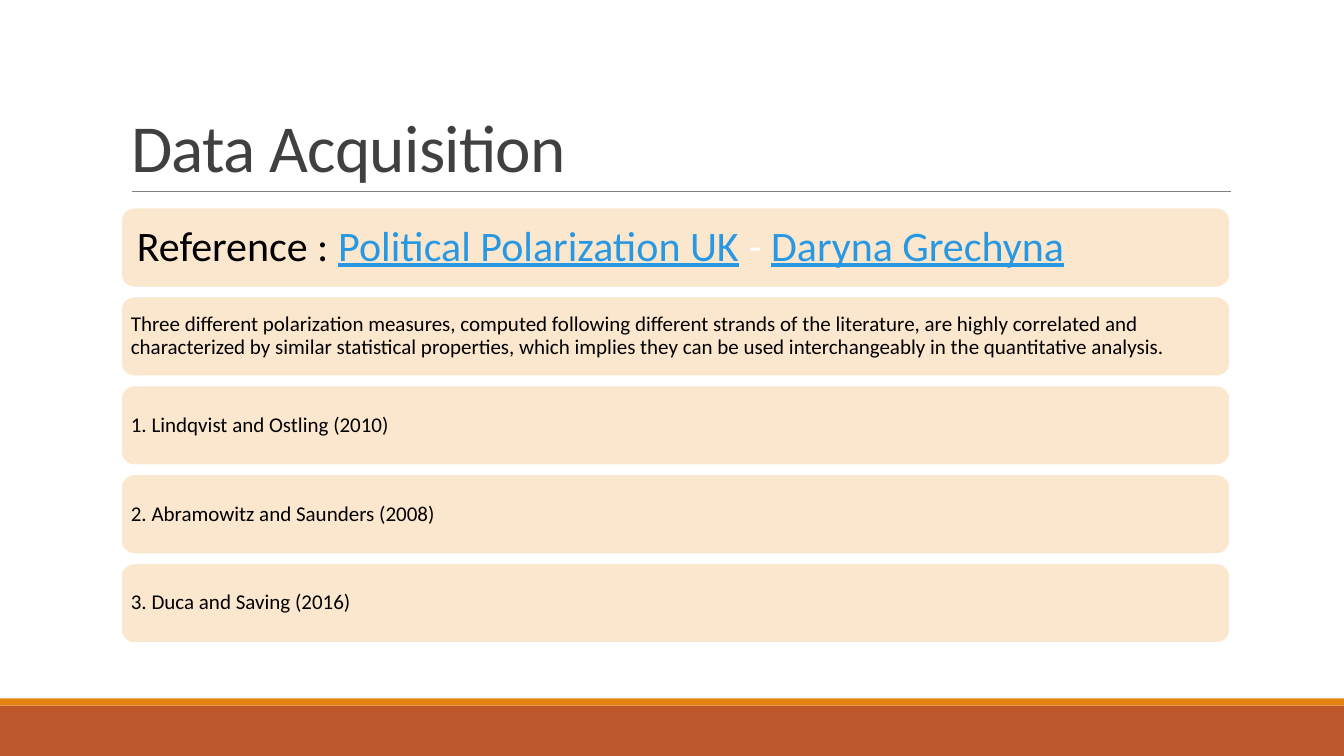
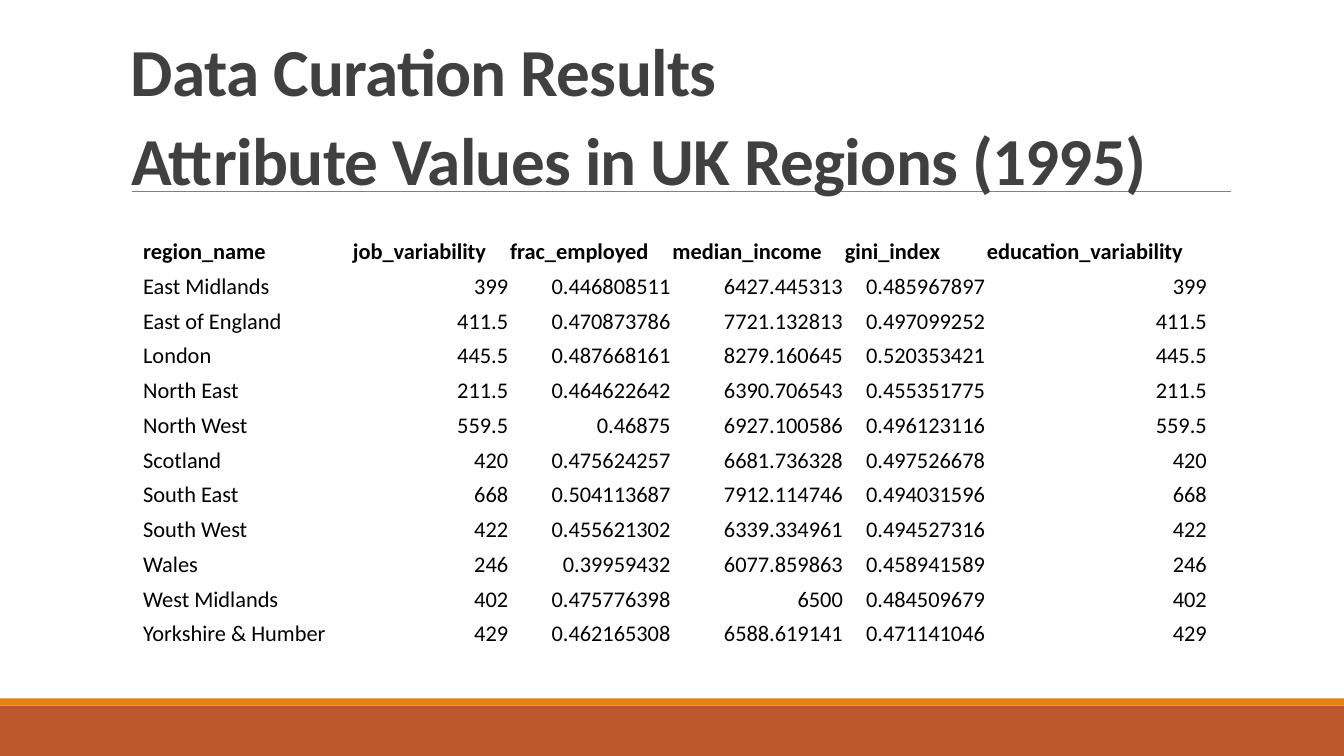
from dataclasses import dataclass

from lxml import etree
from pptx import Presentation
from pptx.dml.color import RGBColor
from pptx.enum.shapes import MSO_CONNECTOR, MSO_SHAPE
from pptx.enum.text import MSO_ANCHOR, PP_ALIGN
from pptx.oxml.ns import qn
from pptx.util import Inches, Pt

LEFT, RIGHT = PP_ALIGN.LEFT, PP_ALIGN.RIGHT
MIDDLE, BOTTOM = MSO_ANCHOR.MIDDLE, MSO_ANCHOR.BOTTOM
RECTANGLE, ROUNDED = MSO_SHAPE.RECTANGLE, MSO_SHAPE.ROUNDED_RECTANGLE
STRAIGHT = MSO_CONNECTOR.STRAIGHT
TITLE_ONLY = 5


@dataclass(frozen=True)
class Theme:
    font: str = "Calibri"
    title_color: str = "404040"
    text_color: str = "000000"
    link_color: str = "2998E3"
    white: str = "FFFFFF"
    card_color: str = "FBE6CE"
    footer_color: str = "BD582C"
    stripe_color: str = "E48312"
    rule_color: str = "808080"
    title_size: int = 48
    reference_size: int = 30
    card_size: int = 15
    table_size: int = 16


THEME = Theme()
PAGE_WIDTH, PAGE_HEIGHT = 13.33, 7.5
CONTENT_LEFT, CONTENT_WIDTH = 1.2, 11
BANDS = [(7, 0.5, THEME.footer_color), (6.93, 0.07, THEME.stripe_color)]
RULE_LEFT, RULE_RIGHT, RULE_TOP = 1.31, 12.21, 1.9

ACQUISITION_TITLE = "Data Acquisition"
REFERENCE = [
    ("Reference : ", THEME.text_color, False),
    ("Political Polarization UK", THEME.link_color, True),
    (" - ", THEME.white, False),
    ("Daryna Grechyna", THEME.link_color, True),
]
STATEMENTS = [
    "Three different polarization measures, computed following different strands of the literature, "
    "are highly correlated and characterized by similar statistical properties, which implies they "
    "can be used interchangeably in the quantitative analysis.",
    "1. Lindqvist and Ostling (2010)",
    "2. Abramowitz and Saunders (2008)",
    "3. Duca and Saving (2016)",
]
CARDS_TOP, CARDS_HEIGHT, CARD_GAP = 2.06, 4.32, 0.09

RESULTS_HEADING = "Data Curation Results"
RESULTS_TITLE = "Attribute Values in UK Regions (1995)"
COLUMNS = [
    ("region_name", 2.08),
    ("job_variability", 1.56),
    ("frac_employed", 1.61),
    ("median_income", 1.71),
    ("gini_index", 1.41),
    ("education_variability", 2.2),
]
REGIONS = [
    ("East Midlands", "399", "0.446808511", "6427.445313", "0.485967897", "399"),
    ("East of England", "411.5", "0.470873786", "7721.132813", "0.497099252", "411.5"),
    ("London", "445.5", "0.487668161", "8279.160645", "0.520353421", "445.5"),
    ("North East", "211.5", "0.464622642", "6390.706543", "0.455351775", "211.5"),
    ("North West", "559.5", "0.46875", "6927.100586", "0.496123116", "559.5"),
    ("Scotland", "420", "0.475624257", "6681.736328", "0.497526678", "420"),
    ("South East", "668", "0.504113687", "7912.114746", "0.494031596", "668"),
    ("South West", "422", "0.455621302", "6339.334961", "0.494527316", "422"),
    ("Wales", "246", "0.39959432", "6077.859863", "0.458941589", "246"),
    ("West Midlands", "402", "0.475776398", "6500", "0.484509679", "402"),
    ("Yorkshire & Humber", "429", "0.462165308", "6588.619141", "0.471141046", "429"),
]
TABLE_LEFT, TABLE_TOP, TABLE_HEIGHT = 1.41, 2.29, 4.14


def color(value):
    return RGBColor.from_string(value)


def format_span(span, size, ink=THEME.text_color, bold=False, underline=False):
    span.font.name = THEME.font
    span.font.size = Pt(size)
    span.font.bold = bold
    span.font.underline = underline
    span.font.color.rgb = color(ink)


def set_margins(target, left, top, right, bottom):
    target.margin_left, target.margin_top = Inches(left), Inches(top)
    target.margin_right, target.margin_bottom = Inches(right), Inches(bottom)


def place(box, left, top, width, height):
    box.left, box.top = Inches(left), Inches(top)
    box.width, box.height = Inches(width), Inches(height)


def add_filled_shape(page, kind, left, top, width, height, fill):
    shape = page.shapes.add_shape(kind, Inches(left), Inches(top), Inches(width), Inches(height))
    shape.shadow.inherit = False
    shape.fill.solid()
    shape.fill.fore_color.rgb = color(fill)
    shape.line.fill.background()
    return shape


def move_frame_to_layout(page):
    frame = [
        add_filled_shape(page, RECTANGLE, 0, top, PAGE_WIDTH, height, fill)
        for top, height, fill in BANDS
    ]
    rule = page.shapes.add_connector(
        STRAIGHT, Inches(RULE_LEFT), Inches(RULE_TOP), Inches(RULE_RIGHT), Inches(RULE_TOP)
    )
    rule.line.color.rgb = color(THEME.rule_color)
    rule.line.width = Pt(0.5)
    etree.SubElement(rule.element.spPr, qn("a:effectLst"))
    for shape in [*frame, rule]:
        page.slide_layout.shapes.element.append(shape.element)


def write_title(box, text, top, height, bold=False):
    place(box, CONTENT_LEFT, top, CONTENT_WIDTH, height)
    frame = box.text_frame
    frame.word_wrap = True
    frame.vertical_anchor = BOTTOM
    frame.text = text
    para = frame.paragraphs[0]
    para.alignment = LEFT
    para.line_spacing = 0.85
    for span in para.runs:
        format_span(span, THEME.title_size, THEME.title_color, bold)
        span.font._element.set("spc", "-50")


def add_card(page, top, height, spans, size, margin):
    card = add_filled_shape(page, ROUNDED, CONTENT_LEFT, top, CONTENT_WIDTH, height, THEME.card_color)
    card.line.color.rgb = color(THEME.white)
    card.line.width = Pt(1.25)
    frame = card.text_frame
    frame.word_wrap = True
    frame.vertical_anchor = MIDDLE
    set_margins(frame, margin, margin, margin, margin)
    para = frame.paragraphs[0]
    para.alignment = LEFT
    para.line_spacing = 0.9
    for text, ink, underline in spans:
        span = para.add_run()
        span.text = text
        format_span(span, size, ink, underline=underline)


def build_acquisition(page):
    write_title(page.shapes.title, ACQUISITION_TITLE, 0.31, 1.59)
    cards = [(REFERENCE, THEME.reference_size, 0.12)]
    cards += [([(text, THEME.text_color, False)], THEME.card_size, 0.06) for text in STATEMENTS]
    height = (CARDS_HEIGHT - CARD_GAP * (len(cards) - 1)) / len(cards)
    for index, (spans, size, margin) in enumerate(cards):
        add_card(page, CARDS_TOP + index * (height + CARD_GAP), height, spans, size, margin)


def build_results(page):
    write_title(page.shapes.title, RESULTS_TITLE, 0.44, 1.59, bold=True)
    rows = [[name for name, width in COLUMNS], *REGIONS]
    table_width = sum(width for name, width in COLUMNS)
    table = page.shapes.add_table(
        len(rows), len(COLUMNS), Inches(TABLE_LEFT), Inches(TABLE_TOP),
        Inches(table_width), Inches(TABLE_HEIGHT),
    ).table
    table.first_row = table.horz_banding = False
    for column, (name, width) in zip(table.columns, COLUMNS):
        column.width = Inches(width)
    for row_index, values in enumerate(rows):
        table.rows[row_index].height = Inches(TABLE_HEIGHT / len(rows))
        for column_index, value in enumerate(values):
            cell = table.cell(row_index, column_index)
            cell.fill.background()
            cell.vertical_anchor = BOTTOM
            set_margins(cell, 0.01, 0.01, 0.01, 0)
            cell.text_frame.text = value
            para = cell.text_frame.paragraphs[0]
            para.alignment = RIGHT if row_index and column_index else LEFT
            format_span(para.runs[0], THEME.table_size, bold=row_index == 0)
    heading = page.shapes.add_textbox(0, 0, 0, 0)
    write_title(heading, RESULTS_HEADING, 0.3, 0.84, bold=True)


def main():
    deck = Presentation()
    deck.slide_width, deck.slide_height = Inches(PAGE_WIDTH), Inches(PAGE_HEIGHT)
    layout = deck.slide_layouts[TITLE_ONLY]
    pages = [deck.slides.add_slide(layout) for _ in range(2)]
    move_frame_to_layout(pages[0])
    build_acquisition(pages[0])
    build_results(pages[1])
    deck.save("out.pptx")


if __name__ == "__main__":
    main()
